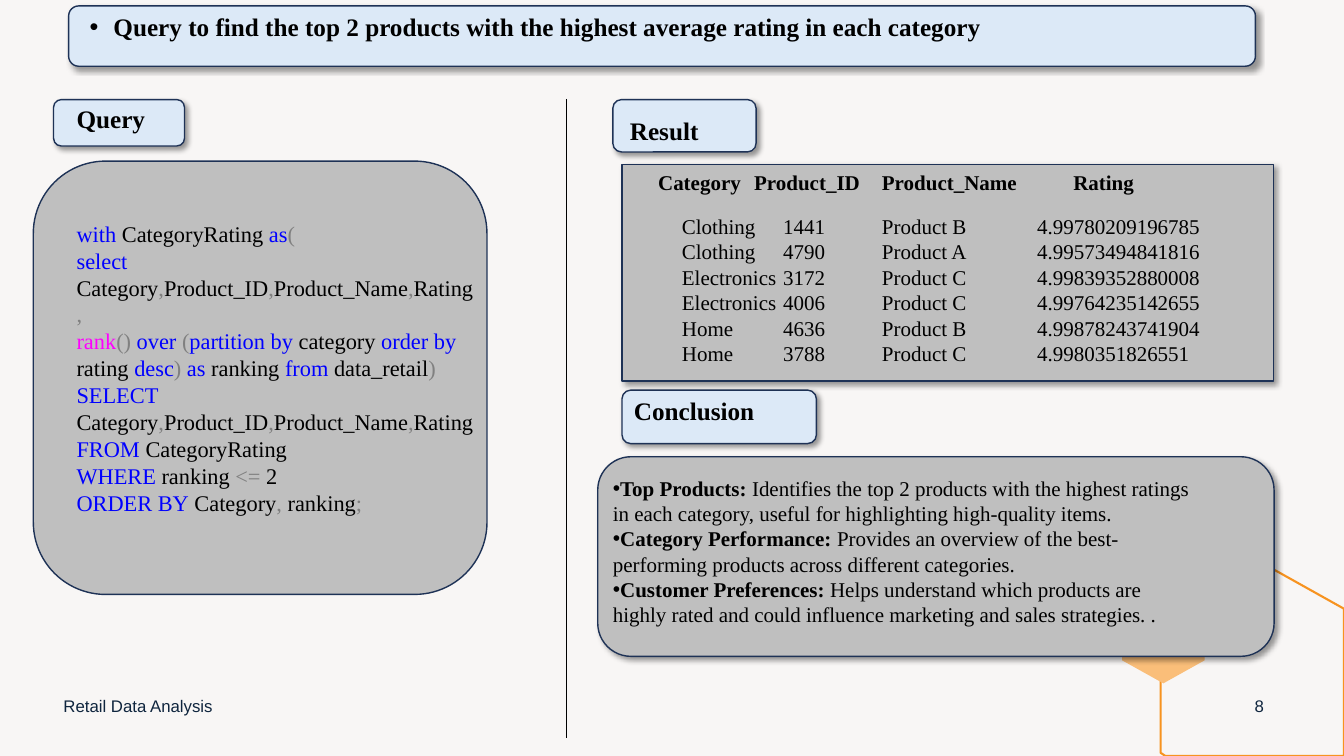
from dataclasses import dataclass
from itertools import pairwise
from typing import NamedTuple

from lxml.etree import SubElement
from pptx import Presentation
from pptx.dml.color import RGBColor as RGB
from pptx.enum.shapes import MSO_CONNECTOR as Connector, MSO_SHAPE as Shape
from pptx.enum.text import MSO_ANCHOR as Anchor, PP_ALIGN as Align
from pptx.oxml.ns import qn
from pptx.util import Cm, Pt


@dataclass(frozen=True)
class Theme:
    background: RGB = RGB(0xF8, 0xF6, 0xF5)
    label: RGB = RGB(0xDC, 0xE9, 0xF7)
    panel: RGB = RGB(0xBF, 0xBF, 0xBF)
    outline: RGB = RGB(0x1E, 0x32, 0x56)
    orange: RGB = RGB(0xF7, 0x93, 0x20)
    peach: RGB = RGB(0xFA, 0xBE, 0x79)
    footer: RGB = RGB(0x0F, 0x25, 0x3E)
    text: RGB = RGB(0, 0, 0)
    keyword: RGB = RGB(0, 0, 0xFF)
    function: RGB = RGB(0xFF, 0, 0xFF)
    symbol: RGB = RGB(0x80, 0x80, 0x80)
    serif: str = "Times New Roman"
    sans: str = "Arial"
    heading_size: int = 18
    code_size: int = 16
    body_size: int = 15
    footer_size: int = 12


THEME = Theme()


class Box(NamedTuple):
    """Left, top, width and height in centimetres."""
    left: float
    top: float
    width: float
    height: float

    def lengths(self) -> list[Cm]:
        return [Cm(value) for value in self]


class Panel(NamedTuple):
    box: Box
    fill: RGB
    shape: Shape = Shape.ROUNDED_RECTANGLE
    shadow: bool = True


class Heading(NamedTuple):
    text: str
    box: Box


class Finding(NamedTuple):
    topic: str
    detail: str


PANELS = [
    Panel(Box(15.67, 9.83, 4.9, 1.35), THEME.label),
    Panel(Box(15.44, 2.51, 3.61, 1.32), THEME.label),
    Panel(Box(1.35, 2.51, 3.3, 1.17), THEME.label),
    Panel(Box(15.67, 4.14, 16.41, 5.46), THEME.panel, Shape.RECTANGLE),
    Panel(Box(0.84, 4.06, 11.43, 10.92), THEME.panel, shadow=False),
    Panel(Box(15.06, 11.51, 17.04, 5.03), THEME.panel),
    Panel(Box(1.73, 0.15, 29.9, 1.52), THEME.label),
]
HEADINGS = [
    Heading("Query", Box(1.68, 2.49, 3, 1.02)),
    Heading("Result", Box(15.62, 2.77, 3.2, 1.02)),
    Heading("Conclusion", Box(15.72, 9.83, 4.34, 1.02)),
]
TITLE = "Query to find the top 2 products with the highest average rating in each category"

# Bars separate the differently coloured parts of each line.
QUERY = [
    "with |CategoryRating |as|(",
    "select |Category|,|Product_ID|,|Product_Name|,|Rating|,",
    "rank|() |over |(|partition by| category |order by| rating |desc|) |as| ranking |from |data_retail|)",
    "SELECT |Category|,|Product_ID|,|Product_Name|,|Rating |FROM |CategoryRating",
    "WHERE| ranking |<=| 2",
    "ORDER BY| Category|,| ranking|;",
]
KEYWORDS = {"with", "as", "select", "over", "partition by", "order by", "desc", "from", "where"}

RESULTS = [
    ("Category", "Product_ID", "Product_Name", "Rating"),
    ("Clothing", "1441", "Product B", "4.99780209196785"),
    ("Clothing", "4790", "Product A", "4.99573494841816"),
    ("Electronics", "3172", "Product C", "4.99839352880008"),
    ("Electronics", "4006", "Product C", "4.99764235142655"),
    ("Home", "4636", "Product B", "4.99878243741904"),
    ("Home", "3788", "Product C", "4.9980351826551"),
]
COLUMN_EDGES = [16.58, 19, 19.73, 22.22, 26.13, 31.8]
HEADER_SPANS, BODY_SPANS = [(0, 0), (1, 2), (3, 3), (4, 4)], [(0, 1), (2, 2), (3, 3), (4, 4)]
HEADER_INDENTS, BODY_INDENTS = [0, 0, 0, 0.91], [0.6, 0, 0, 0]
NO_GRID_STYLE = "{2D5ABB26-0587-4C30-8999-92F81FD0307C}"

FINDINGS = [
    Finding("Top Products:", " Identifies the top 2 products with the highest ratings in each category, "
            "useful for highlighting high-quality items."),
    Finding("Category Performance:", " Provides an overview of the best-performing products "
            "across different categories."),
    Finding("Customer Preferences:", " Helps understand which products are highly rated "
            "and could influence marketing and sales strategies. ."),
]
HEXAGON_OUTLINE = [(32, 14.3), (33.86, 15.34), (33.86, 19.05), (29.36, 19.05), (29.24, 18.97), (29.24, 15.88)]
HEXAGON_SOLID = [(29.31, 14.86), (30.35, 15.44), (30.35, 16.64), (29.31, 17.22), (28.27, 16.64), (28.27, 15.44)]


def style(run, size: int, color: RGB = THEME.text, bold: bool = False, font: str = THEME.serif) -> None:
    run.font.name, run.font.size, run.font.bold = font, Pt(size), bold
    run.font.color.rgb = color


def add_part(paragraph, text: str, size: int, color: RGB = THEME.text, bold: bool = False) -> None:
    run = paragraph.add_run()
    run.text = text
    style(run, size, color, bold)


def add_frame(slide, box: Box):
    frame = slide.shapes.add_textbox(*box.lengths()).text_frame
    frame.word_wrap = True
    return frame


def add_paragraphs(frame, count: int):
    return [frame.paragraphs[0], *(frame.add_paragraph() for _ in range(count - 1))]


def add_bullet(paragraph, hanging: float = 0) -> None:
    properties = paragraph._p.get_or_add_pPr()
    properties.set("marL", str(Cm(hanging)))
    properties.set("indent", str(-Cm(hanging)))
    SubElement(properties, qn("a:buFont"), typeface=THEME.sans)
    SubElement(properties, qn("a:buChar"), char="•")


def add_hexagon(slide, points: list[tuple[float, float]]):
    start, *others = [(Cm(x), Cm(y)) for x, y in points]
    builder = slide.shapes.build_freeform(*start)
    builder.add_line_segments(others, close=True)
    hexagon = builder.convert_to_shape()
    hexagon.shadow.inherit = False
    return hexagon


def add_panel(slide, panel: Panel) -> None:
    shape = slide.shapes.add_shape(panel.shape, *panel.box.lengths())
    shape.fill.solid()
    shape.fill.fore_color.rgb = panel.fill
    shape.line.color.rgb, shape.line.width = THEME.outline, Pt(1)
    shape.shadow.inherit = False
    if panel.shadow:
        effects = shape._element.spPr.find(qn("a:effectLst"))
        shadow = SubElement(effects, qn("a:outerShdw"), blurRad=str(Pt(4)), dist=str(Pt(3)),
                            dir="2700000", algn="tl", rotWithShape="0")
        SubElement(SubElement(shadow, qn("a:srgbClr"), val="000000"), qn("a:alpha"), val="40000")


def token_color(token: str) -> RGB:
    word = token.strip().lower()
    if word in KEYWORDS:
        return THEME.keyword
    if word == "rank":
        return THEME.function
    return THEME.text if any(letter.isalnum() for letter in word) else THEME.symbol


def add_results(slide) -> None:
    """Headers and values start at different places, so they span different grid columns."""
    widths = [right - left for left, right in pairwise(COLUMN_EDGES)]
    box = Box(COLUMN_EDGES[0], 4.34, sum(widths), 4.94)
    table = slide.shapes.add_table(len(RESULTS), len(widths), *box.lengths()).table
    table.horz_banding = False
    table._tbl.tblPr.find(qn("a:tableStyleId")).text = NO_GRID_STYLE
    for column, width in zip(table.columns, widths):
        column.width = Cm(width)
    for row, values in enumerate(RESULTS):
        header = row == 0
        table.rows[row].height = Cm(1.1 if header else 0.64)
        spans, indents = (HEADER_SPANS, HEADER_INDENTS) if header else (BODY_SPANS, BODY_INDENTS)
        for value, (first, last), indent in zip(values, spans, indents):
            cell = table.cell(row, first)
            if last > first:
                cell.merge(table.cell(row, last))
            cell.fill.background()
            cell.margin_left = Cm(indent)
            cell.margin_right = cell.margin_top = cell.margin_bottom = 0
            cell.text_frame.text = value
            style(cell.text_frame.paragraphs[0].runs[0], THEME.body_size, bold=header)


def add_footer(slide, text: str, box: Box, align: Align) -> None:
    frame = add_frame(slide, box)
    frame.vertical_anchor = Anchor.MIDDLE
    frame.text = text
    frame.paragraphs[0].alignment = align
    style(frame.paragraphs[0].runs[0], THEME.footer_size, THEME.footer, font=THEME.sans)


def main() -> None:
    deck = Presentation()
    deck.slide_width, deck.slide_height = Cm(33.86), Cm(19.05)
    slide = deck.slides.add_slide(deck.slide_layouts[6])
    slide.background.fill.solid()
    slide.background.fill.fore_color.rgb = THEME.background

    outlined = add_hexagon(slide, HEXAGON_OUTLINE)
    outlined.fill.background()
    outlined.line.color.rgb, outlined.line.width = THEME.orange, Pt(1.5)
    solid = add_hexagon(slide, HEXAGON_SOLID)
    solid.fill.solid()
    solid.fill.fore_color.rgb = THEME.peach
    solid.line.fill.background()

    for panel in PANELS:
        add_panel(slide, panel)
    divider = slide.shapes.add_connector(Connector.STRAIGHT, Cm(14.27), Cm(2.49), Cm(14.27), Cm(18.59))
    divider.line.color.rgb, divider.line.width = THEME.text, Pt(0.5)
    SubElement(divider._element.spPr, qn("a:effectLst"))

    title = add_frame(slide, Box(2.01, 0.25, 29.87, 1.37)).paragraphs[0]
    title.line_spacing = 0.9
    add_bullet(title, hanging=0.6)
    add_part(title, TITLE, THEME.heading_size, bold=True)
    for heading in HEADINGS:
        add_part(add_frame(slide, heading.box).paragraphs[0], heading.text, THEME.heading_size, bold=True)

    code = add_frame(slide, Box(1.68, 5.42, 10.59, 7.7))
    for paragraph, line in zip(add_paragraphs(code, len(QUERY)), QUERY):
        for token in line.split("|"):
            add_part(paragraph, token, THEME.code_size, token_color(token))
    add_results(slide)
    conclusion = add_frame(slide, Box(15.19, 11.86, 15.06, 4.1))
    for paragraph, finding in zip(add_paragraphs(conclusion, len(FINDINGS)), FINDINGS):
        add_bullet(paragraph)
        add_part(paragraph, finding.topic, THEME.body_size, bold=True)
        add_part(paragraph, finding.detail, THEME.body_size)

    add_footer(slide, "Retail Data Analysis", Box(1.35, 17.27, 11.43, 1.02), Align.LEFT)
    add_footer(slide, "8", Box(31.09, 17.27, 1.27, 1.02), Align.CENTER)
    deck.save("out.pptx")


if __name__ == "__main__":
    main()
